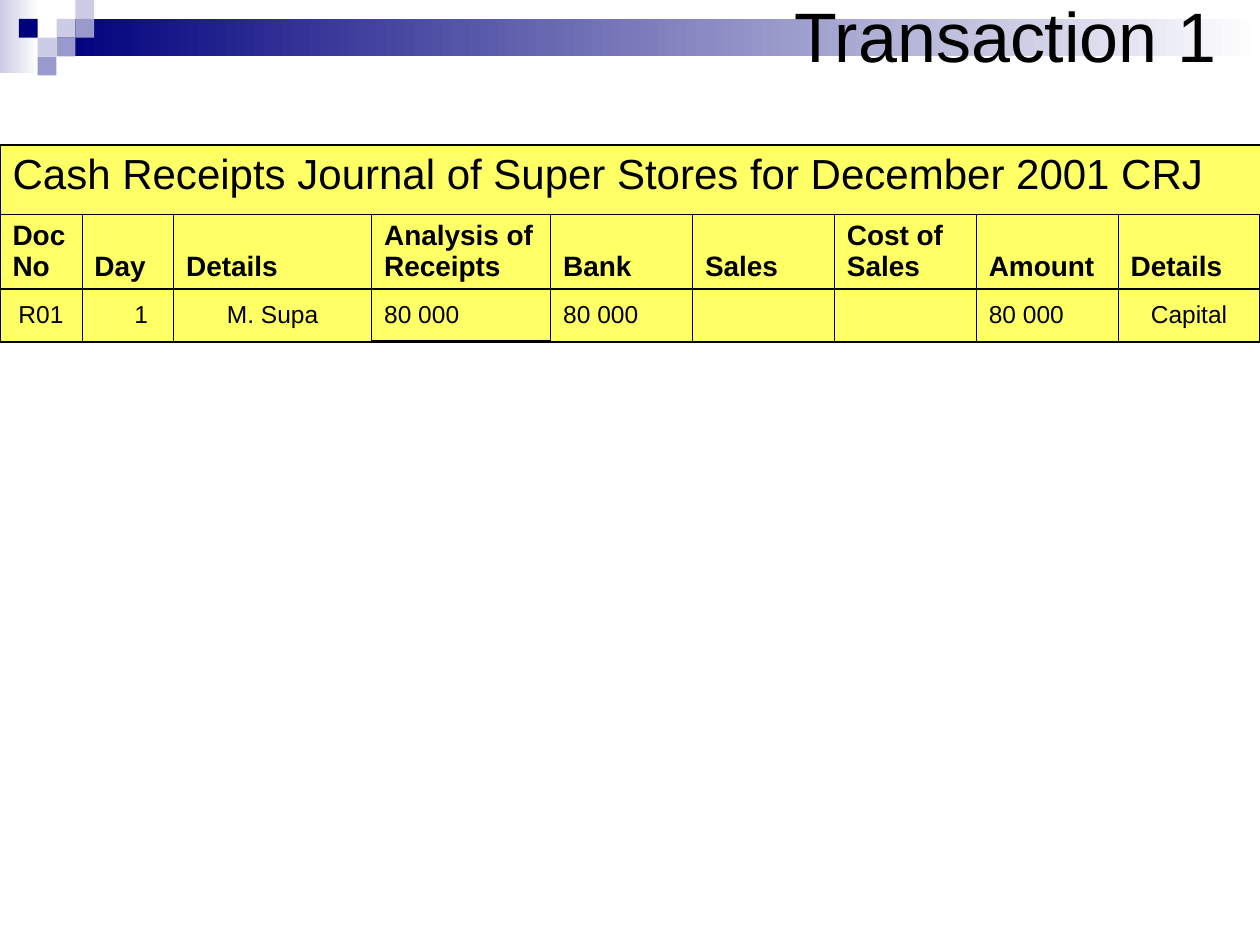
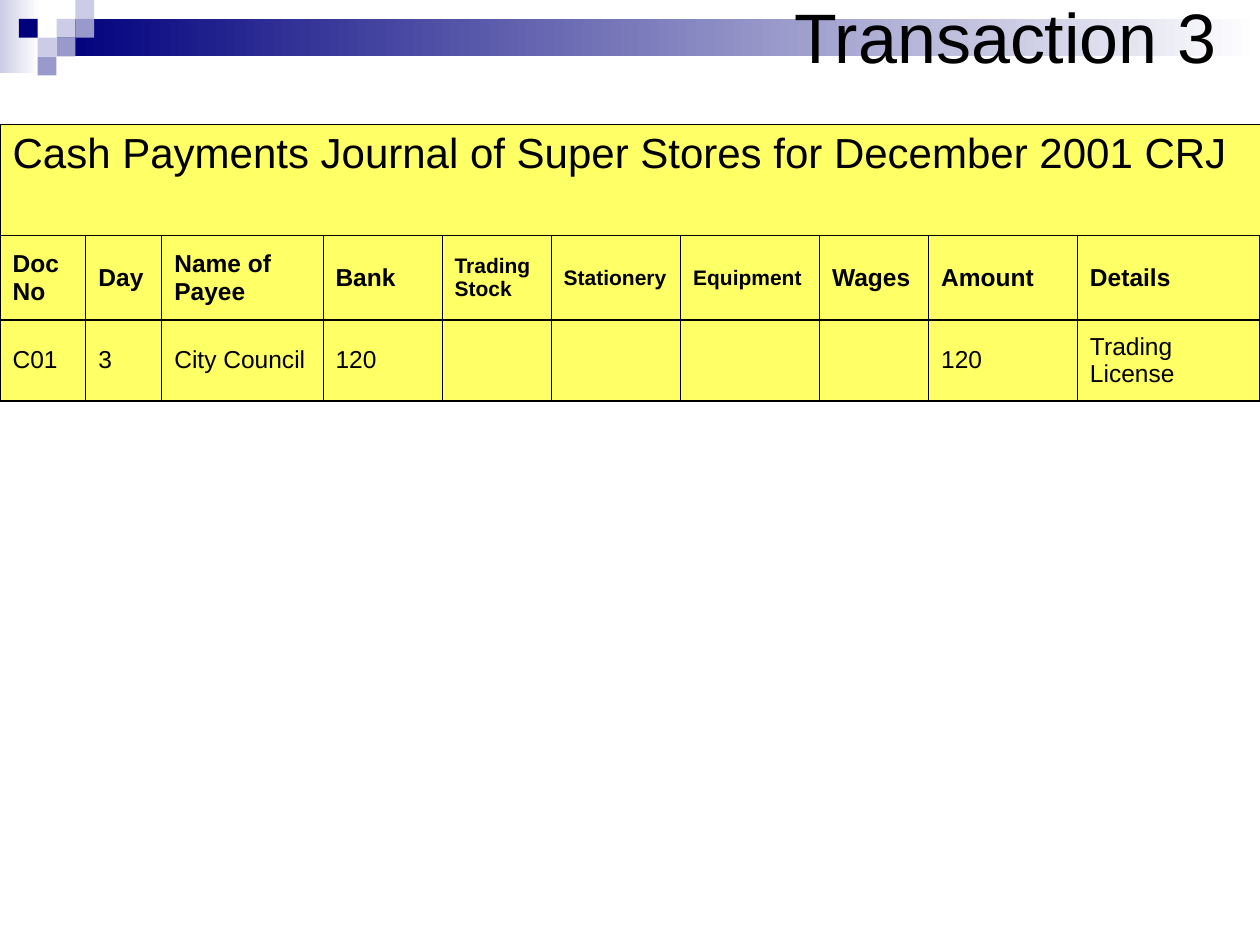
import pptx
import pptx.dml.color
import pptx.enum.shapes
import pptx.enum.text
import pptx.oxml.ns
import pptx.util
from lxml import etree

Cm = pptx.util.Cm
Pt = pptx.util.Pt
ALIGN = pptx.enum.text.PP_ALIGN
ANCHOR = pptx.enum.text.MSO_ANCHOR

# Shared look
FONT = "Arial"
BLACK, WHITE, YELLOW = "000000", "FFFFFF", "FFFF66"
NAVY, LILAC, PALE = "00007D", "9999CC", "CCCCE6"
TILE = 0.38
TILES = [  # column, row, colour
    (3, 1, PALE), (4, 0, PALE), (4, 1, LILAC), (2, 2, PALE),
    (1, 1, NAVY), (3, 2, LILAC), (2, 3, LILAC),
]
HAIR, FRAME, RULE, TOTAL = 0.45, 1.08, 1.47, 2.21


def colour(code):
    return pptx.dml.color.RGBColor.from_string(code)


def format_text(frame, size, bold=False, align=ALIGN.LEFT):
    for para in frame.paragraphs:
        para.alignment = align
        for span in para.runs:
            span.font.name = FONT
            span.font.size = Pt(size)
            span.font.bold = bold
            span.font.color.rgb = colour(BLACK)


def add_block(page, left, top, width, height, start, end=None):
    """Borderless rectangle, solid or fading from left to right."""
    block = page.shapes.add_shape(
        pptx.enum.shapes.MSO_SHAPE.RECTANGLE,
        Cm(left), Cm(top), Cm(width), Cm(height))
    block.shadow.inherit = False
    block.line.fill.background()
    if end is None:
        block.fill.solid()
        block.fill.fore_color.rgb = colour(start)
    else:
        block.fill.gradient()
        block.fill.gradient_angle = 0
        for stop, code in zip(block.fill.gradient_stops, (start, end)):
            stop.color.rgb = colour(code)


def add_header_band(page, left, top, width):
    add_block(page, left, top, 0.79, 1.47, PALE, WHITE)
    band_left = 3 * TILE
    add_block(page, left + band_left, top + TILE, width - band_left, 2 * TILE,
              NAVY, WHITE)
    for column, row, code in TILES:
        add_block(page, left + column * TILE, top + row * TILE, TILE, TILE, code)


def place_title(page, text, left, top, width, height):
    title = page.shapes.title
    title.left, title.top = Cm(left), Cm(top)
    title.width, title.height = Cm(width), Cm(height)
    frame = title.text_frame
    frame.text = text
    frame.auto_size = pptx.enum.text.MSO_AUTO_SIZE.NONE
    frame.vertical_anchor = ANCHOR.MIDDLE
    format_text(frame, 40)
    # Bring the title in front of the band
    title.element.getparent().append(title.element)


def set_borders(cell, **widths):
    """Give the cell black borders, with widths in points by side."""
    properties = cell._tc.get_or_add_tcPr()
    qn = pptx.oxml.ns.qn
    for position, side in enumerate("LRTB"):
        line = etree.Element(qn("a:ln" + side), w=str(Pt(widths[side])))
        fill = etree.SubElement(line, qn("a:solidFill"))
        etree.SubElement(fill, qn("a:srgbClr"), val=BLACK)
        properties.insert(position, line)


def add_journal(page, top, widths, heights, rows, heading_size):
    """Ledger table: a merged caption row, column headings and one entry."""
    last = len(widths) - 1
    table = page.shapes.add_table(
        len(rows), len(widths), Cm(0), Cm(top),
        Cm(sum(widths)), Cm(sum(heights))).table
    table.first_row = table.horz_banding = False
    for column, width in zip(table.columns, widths):
        column.width = Cm(width)
    for row, height in zip(table.rows, heights):
        row.height = Cm(height)
    table.cell(0, 0).merge(table.cell(0, last))

    sizes = (24, heading_size, 14)
    anchors = (ANCHOR.TOP, ANCHOR.MIDDLE, ANCHOR.MIDDLE)
    edges = (FRAME, HAIR, RULE, FRAME)
    for r, texts in enumerate(rows):
        for c in range(last + 1):
            cell = table.cell(r, c)
            cell.fill.solid()
            cell.fill.fore_color.rgb = colour(YELLOW)
            set_borders(cell, L=FRAME if c == 0 else HAIR,
                        R=FRAME if c == last else HAIR,
                        T=edges[r], B=edges[r + 1])
            cell.vertical_anchor = anchors[r]
            if c < len(texts) and texts[c]:
                cell.text_frame.text = texts[c]
                format_text(cell.text_frame, sizes[r], bold=r == 1)
    return table


def build_page(deck, title, title_height):
    page = deck.slides.add_slide(deck.slide_layouts[5])
    add_header_band(page, 0, 0, 25.4)
    place_title(page, title, 15.77, 0, 9.63, title_height)
    return page


def build_receipts(deck):
    page = build_page(deck, "Transaction 1", 1.4)
    table = add_journal(
        page, 2.92, [1.65, 1.85, 3.99, 3.61] + [2.86] * 5, [1.4, 1.5, 1.06],
        [["Cash Receipts Journal of Super Stores for December 2001 CRJ"],
         ["Doc No", "Day", "Details", "Analysis of Receipts", "Bank", "Sales",
          "Cost of Sales", "Amount", "Details"],
         ["R01", "1", "M. Supa", "80 000", "80 000", "", "", "80 000",
          "Capital"]],
        heading_size=16)
    # Headings sit on the rule, except the first
    for c in range(len(table.columns)):
        table.cell(1, c).vertical_anchor = ANCHOR.BOTTOM if c else ANCHOR.TOP
    # Centred entries, with the day pushed to the right
    for c in (0, 1, 2, 8):
        format_text(table.cell(2, c).text_frame, 14, align=ALIGN.CENTER)
    table.cell(2, 1).margin_left = Cm(0.8)
    # Heavy total line under the analysis column
    analysis = table.cell(2, 3)
    bottom = analysis._tc.tcPr.find(pptx.oxml.ns.qn("a:lnB"))
    bottom.set("w", str(Pt(TOTAL)))


def build_payments(deck):
    page = build_page(deck, "Transaction 3", 1.45)
    table = add_journal(
        page, 2.51,
        [1.73, 1.53, 3.25, 2.4, 2.2, 2.61, 2.8, 2.2, 3, 3.68],
        [2.24, 1.7, 1.63],
        [["Cash Payments Journal of Super Stores for December 2001 CRJ"],
         ["Doc No", "Day", "Name of Payee", "Bank", "Trading Stock",
          "Stationery", "Equipment", "Wages", "Amount", "Details"],
         ["C01", "3", "City Council", "120", "", "", "", "", "120",
          "Trading License"]],
        heading_size=14)
    # Smaller headings for the narrow expense columns
    for c in (4, 5, 6):
        format_text(table.cell(1, c).text_frame, 12, bold=True)


def main():
    deck = pptx.Presentation()
    deck.slide_width, deck.slide_height = Cm(25.4), Cm(19.05)
    build_receipts(deck)
    build_payments(deck)
    deck.save("out.pptx")


if __name__ == "__main__":
    main()
